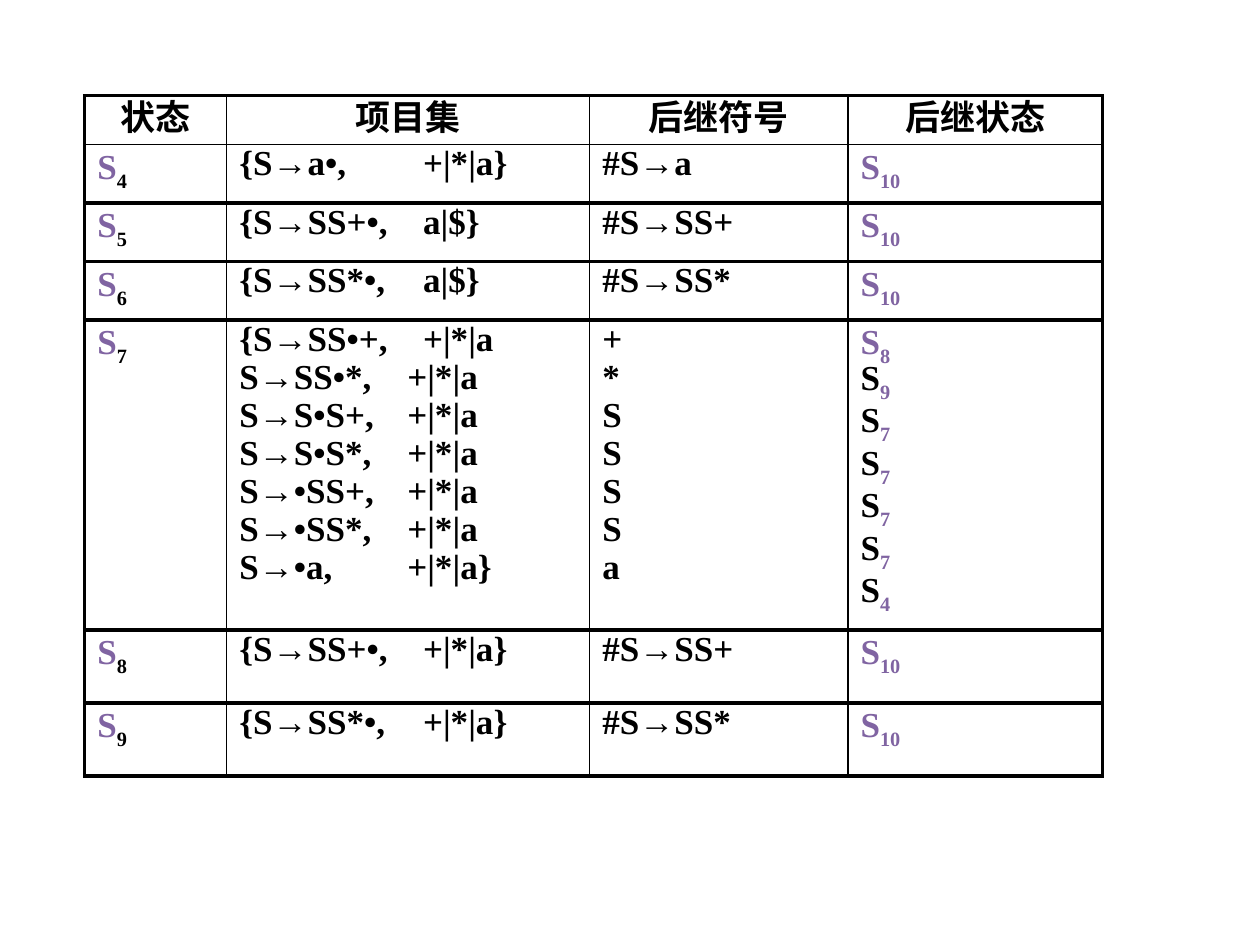
from lxml import etree
from pptx import Presentation
from pptx.dml.color import RGBColor
from pptx.enum.text import PP_ALIGN
from pptx.oxml.ns import qn
from pptx.util import Pt

CENTER = PP_ALIGN.CENTER
BLANK_LAYOUT = 6
COLORS = {"ink": "000000", "state": "8064A2"}
FONT = {"name": "Times New Roman", "size": Pt(20), "bold": True}
THIN, THICK = 1, 2.25
BRACE_TAB, PLAIN_TAB = 105, 96

COLUMN_WIDTHS = [81.2, 207.4, 147.6, 145.4]
ROW_HEIGHTS = [28, 33.4, 33.4, 33.4, 177.1, 41.7, 41.7]
HEADERS = ["状态", "项目集", "后继符号", "后继状态"]

# state, [(item, lookahead, next symbol, next state)]
STATES = [
    ("4", [("{S→a•,", "+|*|a}", "#S→a", "10")]),
    ("5", [("{S→SS+•,", "a|$}", "#S→SS+", "10")]),
    ("6", [("{S→SS*•,", "a|$}", "#S→SS*", "10")]),
    ("7", [
        ("{S→SS•+,", "+|*|a", "+", "8"),
        ("S→SS•*,", "+|*|a", "*", "9"),
        ("S→S•S+,", "+|*|a", "S", "7"),
        ("S→S•S*,", "+|*|a", "S", "7"),
        ("S→•SS+,", "+|*|a", "S", "7"),
        ("S→•SS*,", "+|*|a", "S", "7"),
        ("S→•a,", "+|*|a}", "a", "4"),
    ]),
    ("8", [("{S→SS+•,", "+|*|a}", "#S→SS+", "10")]),
    ("9", [("{S→SS*•,", "+|*|a}", "#S→SS*", "10")]),
]


def set_border(cell, side, width):
    properties = cell._tc.get_or_add_tcPr()
    line = etree.SubElement(properties, qn(f"a:{side}"), w=str(Pt(width)))
    fill = etree.SubElement(line, qn("a:solidFill"))
    etree.SubElement(fill, qn("a:srgbClr"), val=COLORS["ink"])


def draw_grid(table):
    """Thick frame and row rules; thin column rules and header rule."""
    last_row, last_column = len(ROW_HEIGHTS) - 1, len(COLUMN_WIDTHS) - 1
    for row in range(last_row + 1):
        for column in range(last_column + 1):
            cell = table.cell(row, column)
            set_border(cell, "lnL", THICK if column == 0 else THIN)
            set_border(cell, "lnR", THICK if column == last_column else THIN)
            set_border(cell, "lnT", THIN if row == 1 else THICK)
            set_border(cell, "lnB", THIN if row == 0 else THICK)
            cell.fill.background()


def add_span(para, text, color="ink", subscript=False):
    span = para.add_run()
    span.text = text
    for name, value in FONT.items():
        setattr(span.font, name, value)
    span.font.color.rgb = RGBColor.from_string(COLORS[color])
    if subscript:
        span._r.get_or_add_rPr().set("baseline", "-25000")


def add_para(cell, index, spacing=0.8, before=4):
    frame = cell.text_frame
    para = frame.add_paragraph() if index else frame.paragraphs[0]
    para.line_spacing = spacing
    para.space_before = Pt(before if index else 0)
    return para


def add_state(para, number, letter_color, number_color):
    add_span(para, "S", letter_color)
    add_span(para, number, number_color, subscript=True)


def add_item(para, item, lookahead):
    tabs = etree.SubElement(para._p.get_or_add_pPr(), qn("a:tabLst"))
    stop = BRACE_TAB if item.startswith("{") else PLAIN_TAB
    etree.SubElement(tabs, qn("a:tab"), pos=str(Pt(stop)), algn="l")
    add_span(para, f"{item}\t{lookahead}")


def fill_header(table):
    for column, heading in enumerate(HEADERS):
        para = add_para(table.cell(0, column), 0, spacing=0.7)
        para.alignment = CENTER
        add_span(para, heading)


def fill_state_row(table, row, state, items):
    state_cell, item_cell, symbol_cell, next_cell = (
        table.cell(row, column) for column in range(len(HEADERS)))
    add_state(add_para(state_cell, 0), state, "state", "ink")
    for index, (item, lookahead, symbol, next_state) in enumerate(items):
        add_item(add_para(item_cell, index), item, lookahead)
        add_span(add_para(symbol_cell, index), symbol)
        next_para = add_para(next_cell, index, before=0 if index == 1 else 4)
        add_state(next_para, next_state, "ink" if index else "state", "state")


def add_state_table(page):
    table = page.shapes.add_table(
        len(ROW_HEIGHTS), len(COLUMN_WIDTHS), Pt(48.4), Pt(54.7),
        Pt(sum(COLUMN_WIDTHS)), Pt(sum(ROW_HEIGHTS))).table
    table.first_row = table.horz_banding = False
    for column, width in zip(table.columns, COLUMN_WIDTHS):
        column.width = Pt(width)
    for row, height in zip(table.rows, ROW_HEIGHTS):
        row.height = Pt(height)
    draw_grid(table)
    fill_header(table)
    for row, (state, items) in enumerate(STATES, start=1):
        fill_state_row(table, row, state, items)


def main():
    deck = Presentation()
    deck.slide_width, deck.slide_height = Pt(720), Pt(540)
    page = deck.slides.add_slide(deck.slide_layouts[BLANK_LAYOUT])
    add_state_table(page)
    deck.save("out.pptx")


if __name__ == "__main__":
    main()
